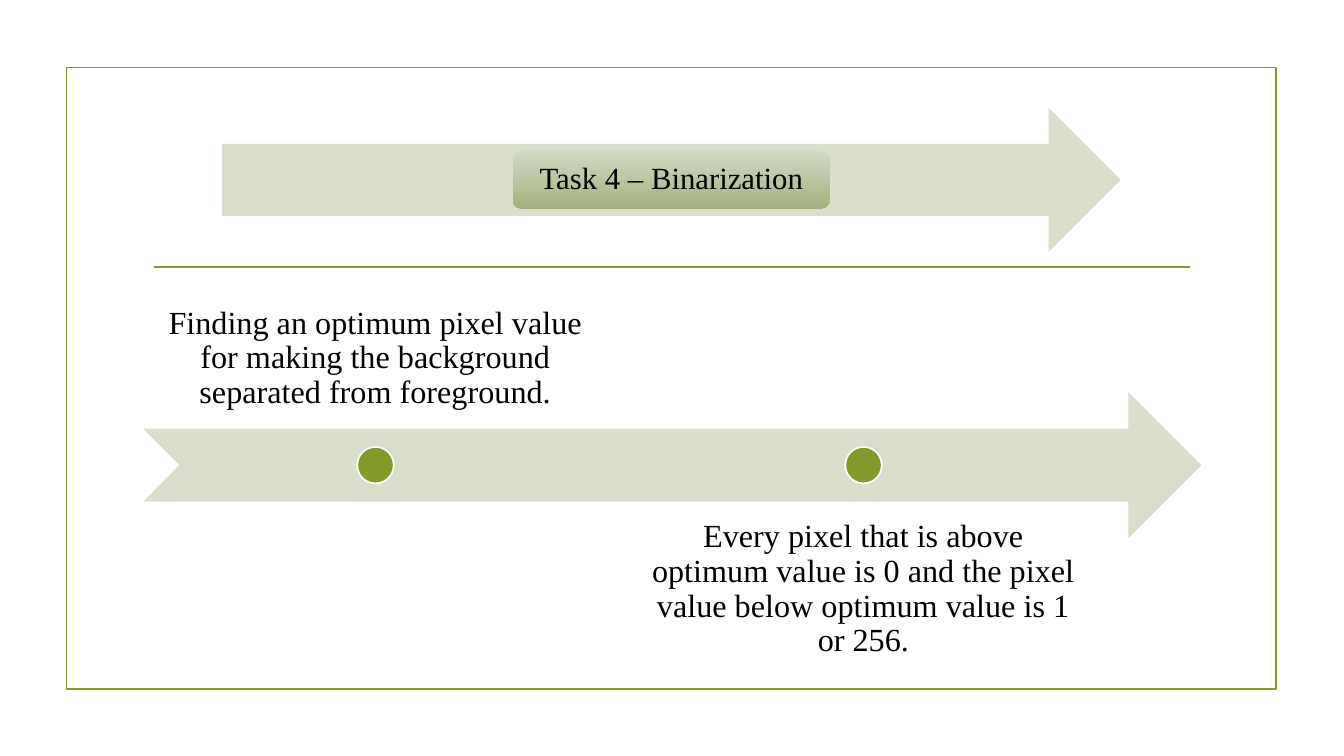
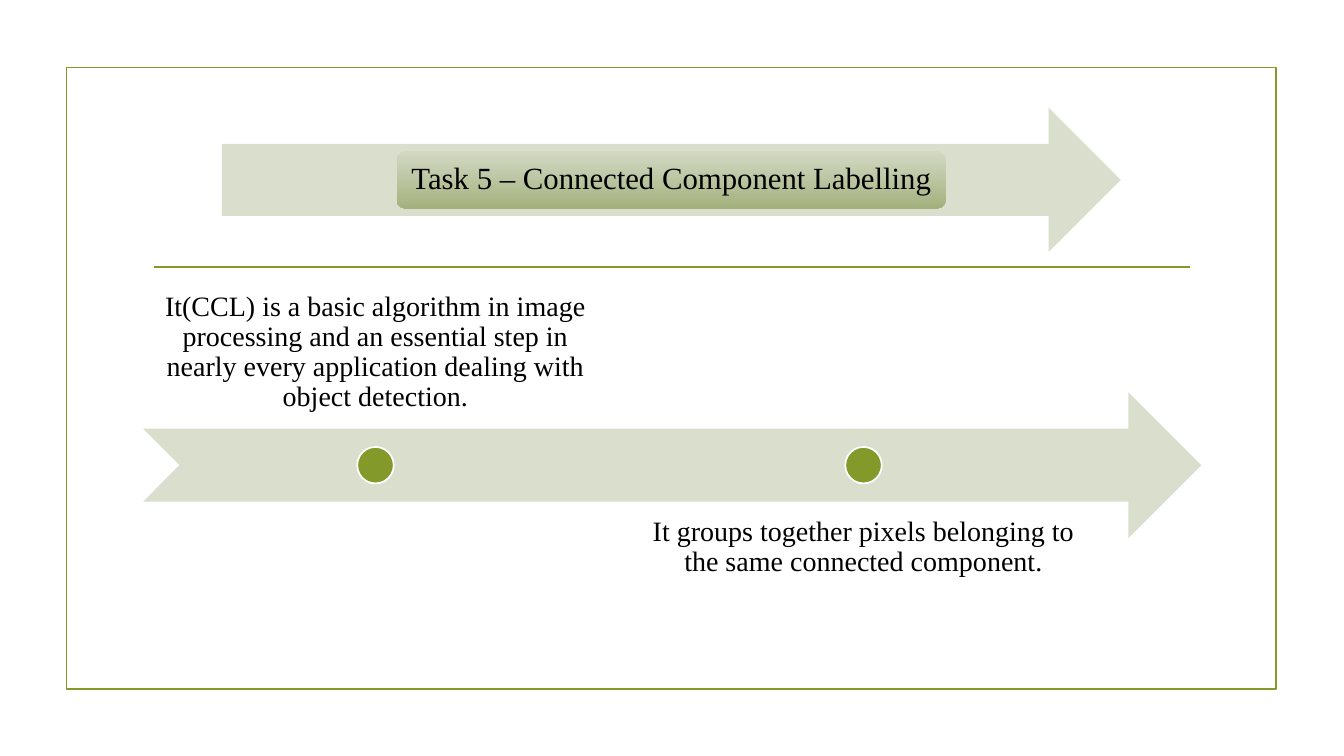
from lxml import etree
from pptx import Presentation
from pptx.dml.color import RGBColor
from pptx.enum.shapes import MSO_CONNECTOR, MSO_SHAPE as SHAPE
from pptx.enum.text import MSO_ANCHOR as ANCHOR, PP_ALIGN as ALIGN
from pptx.oxml.ns import qn
from pptx.util import Pt

COLORS = {
    "olive": "83992A",
    "arrow": "D9DECD",
    "pill_top": "D3D9C4",
    "pill_bottom": "A3B17D",
    "text": "000000",
    "white": "FFFFFF",
}
FONT = "Times New Roman"
LINE_WIDTH = 1.25
FRAME = (47.5, 48.2, 864, 444.2)
BANNER = (158.4, 77, 642.2, 103)
TIMELINE = (102.2, 280.1, 756, 104.4)
RULE = (110.2, 850.3, 190.8)

TASKS = [
    {
        "title": "Task 4 – Binarization",
        "pill_width": 226.8,
        "size": 23,
        "inset": 12.9,
        "steps": [
            "Finding an optimum pixel value for making the background separated from foreground.",
            "Every pixel that is above optimum value is 0 and the pixel value below optimum value is 1 or 256.",
        ],
    },
    {
        "title": "Task 5 – Connected Component Labelling",
        "pill_width": 392.4,
        "size": 20,
        "inset": 11.2,
        "steps": [
            "It(CCL) is a basic algorithm in image processing and an essential step in nearly every application dealing with object detection.",
            "It groups together pixels belonging to the same connected component.",
        ],
    },
]


def rgb(name):
    return RGBColor.from_string(COLORS[name])


def add_shape(s, kind, box, fill=None, line=None):
    sp = s.shapes.add_shape(kind, *map(Pt, box))
    sp.shadow.inherit = False
    if fill:
        sp.fill.solid()
        sp.fill.fore_color.rgb = rgb(fill)
    else:
        sp.fill.background()
    if line:
        sp.line.color.rgb = rgb(line)
        sp.line.width = Pt(LINE_WIDTH)
    else:
        sp.line.fill.background()
    return sp


def set_text(sp, text, size, inset, anchor):
    tf = sp.text_frame
    tf.word_wrap = True
    tf.vertical_anchor = anchor
    tf.margin_left = tf.margin_right = tf.margin_top = tf.margin_bottom = Pt(inset)
    p = tf.paragraphs[0]
    p.alignment = ALIGN.CENTER
    p.line_spacing = 0.9
    r = p.add_run()
    r.text = text
    r.font.name = FONT
    r.font.size = Pt(size)
    r.font.color.rgb = rgb("text")


def add_frame(s):
    add_shape(s, SHAPE.RECTANGLE, FRAME, line="olive")
    left, right, y = map(Pt, RULE)
    rule = s.shapes.add_connector(MSO_CONNECTOR.STRAIGHT, left, y, right, y)
    rule.line.color.rgb = rgb("olive")
    rule.line.width = Pt(LINE_WIDTH)
    etree.SubElement(rule._element.spPr, qn("a:effectLst"))


def add_banner(s, box, title, pill_width):
    x, y, w, h = box
    add_shape(s, SHAPE.RIGHT_ARROW, box, "arrow")
    pill_height = 0.4 * h
    pill_box = (x + (w - pill_width) / 2, y + (h - pill_height) / 2, pill_width, pill_height)
    pill = add_shape(s, SHAPE.ROUNDED_RECTANGLE, pill_box)
    pill.fill.gradient()
    pill.fill.gradient_angle = 270
    for stop, name in zip(pill.fill.gradient_stops, ("pill_top", "pill_bottom")):
        stop.color.rgb = rgb(name)
    set_text(pill, title, 22, 6.5, ANCHOR.MIDDLE)


def add_timeline(s, box, steps, size, inset):
    x, y, w, h = box
    add_shape(s, SHAPE.NOTCHED_RIGHT_ARROW, box, "arrow")
    label_width = 332
    pitch = 1.05 * label_width
    dot = h / 4
    sides = ((-0.75, ANCHOR.BOTTOM), (0.75, ANCHOR.TOP))
    for i, (text, (shift, anchor)) in enumerate(zip(steps, sides)):
        left = x + i * pitch
        label = s.shapes.add_textbox(*map(Pt, (left, y + shift * h, label_width, h)))
        set_text(label, text, size, inset, anchor)
        dot_box = (left + (label_width - dot) / 2, y + (h - dot) / 2, dot, dot)
        add_shape(s, SHAPE.OVAL, dot_box, "olive", "white")


def add_task_slide(prs, task):
    s = prs.slides.add_slide(prs.slide_layouts[6])
    s.background.fill.solid()
    s.background.fill.fore_color.rgb = rgb("white")
    add_frame(s)
    add_banner(s, BANNER, task["title"], task["pill_width"])
    add_timeline(s, TIMELINE, task["steps"], task["size"], task["inset"])


def main():
    prs = Presentation()
    prs.slide_width, prs.slide_height = Pt(960), Pt(540)
    for task in TASKS:
        add_task_slide(prs, task)
    prs.save("out.pptx")


if __name__ == "__main__":
    main()
